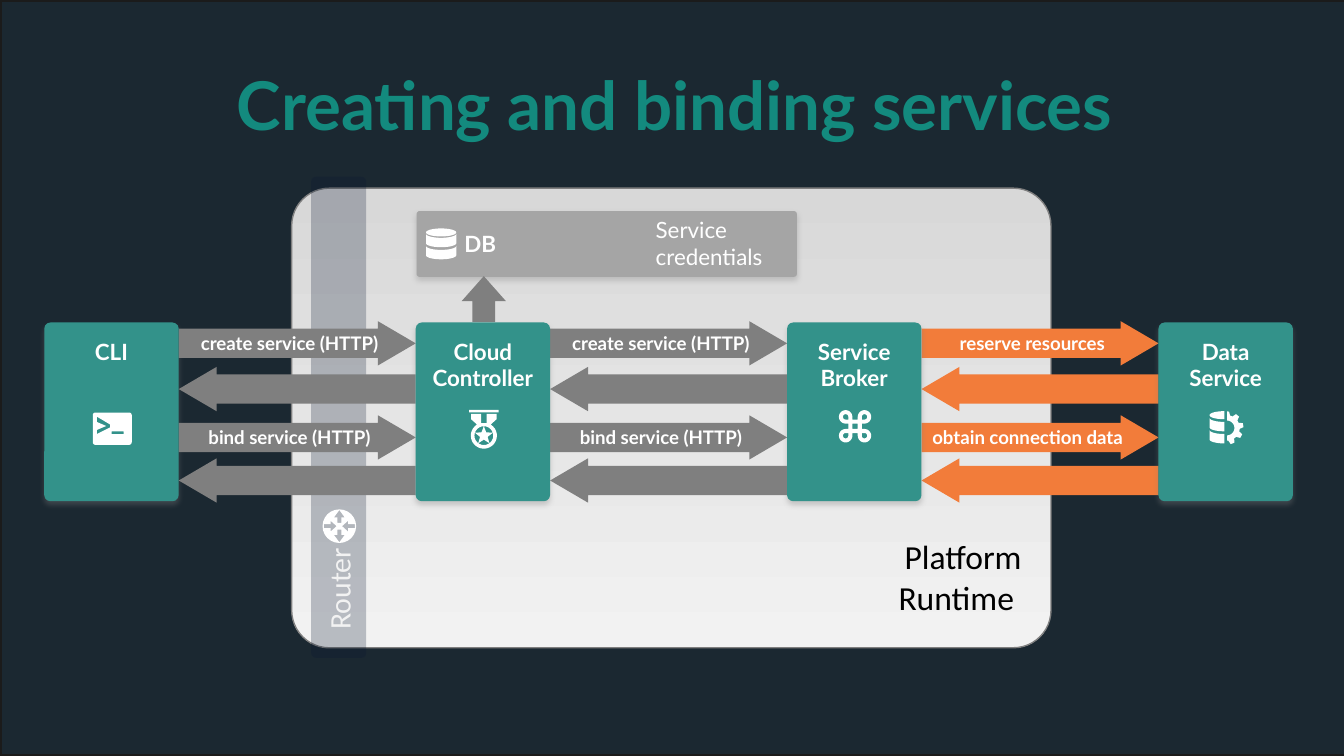
from dataclasses import dataclass
from math import cos, radians, sin

from lxml import etree
from pptx import Presentation
from pptx import util as u
from pptx.dml.color import RGBColor
from pptx.enum import shapes, text
from pptx.oxml.ns import qn

Contour = list[tuple[float, float]]
Box = tuple[float, float, float, float]
PRESET, ALIGN, ANCHOR = shapes.MSO_SHAPE, text.PP_ALIGN, text.MSO_ANCHOR
WIDTH, HEIGHT = 10, 10 * 9 / 16


@dataclass(frozen=True)
class Theme:
    night, edge, title, teal, orange = "1B2831", "1B1B1B", "138A7E", "33928A", "F27C3A"
    gray, silver, navy, mist, pale = "7F7F7F", "A5A5A5", "0A1831", "D8D8D8", "F2F2F2"
    shadow, white, black = "808080", "FFFFFF", "000000"
    font, plain_font = "Lato", "Calibri"
    title_size, runtime_size, router_size, label_size, flow_size = 36, 18, 16, 12, 10


@dataclass(frozen=True)
class Grid:
    """Columns hold components; rows hold the arrows between them."""
    left: float = 0.33
    column: float = 8.29 / 3
    rows: tuple = (2.39, 2.73, 3.09, 3.41)

    def box(self, column: int) -> Box:
        return self.left + column * self.column, 2.4, 1, 1.33

    def arrow(self, column: int, row: int) -> Box:
        return self.left + column * self.column + 1, self.rows[row], self.column - 1, 0.33


@dataclass(frozen=True)
class Flow:
    column: int
    row: int
    label: str
    color: str
    inset: float = 0.07


THEME, GRID = Theme(), Grid()
COMPONENTS = ["CLI", "Cloud Controller", "Service\nBroker", "Data\nService"]
FLOWS = [Flow(column, row, label, THEME.gray) for column in (0, 1)
         for row, label in ((0, "create service (HTTP)"), (2, "bind service (HTTP)"))]
FLOWS += [Flow(2, 0, "reserve resources", THEME.orange),
          Flow(2, 2, "obtain connection data", THEME.orange, 0)]


def write(shape, words: str, *, size: int, color: str = THEME.white, font: str = THEME.font,
          bold: bool = False, align=ALIGN.LEFT, anchor=ANCHOR.TOP,
          insets: Box = (0.1, 0.05, 0.1, 0.05)) -> None:
    frame = shape.text_frame
    frame.word_wrap, frame.vertical_anchor = True, anchor
    frame.margin_left, frame.margin_top, frame.margin_right, frame.margin_bottom = map(u.Inches, insets)
    frame.text = words
    for paragraph in frame.paragraphs:
        paragraph.alignment = align
        style = paragraph.runs[0].font
        style.name, style.size, style.bold = font, u.Pt(size), bold
        style.color.rgb = RGBColor.from_string(color)


def add_text(slide, box: Box, words: str, **style) -> None:
    write(slide.shapes.add_textbox(*map(u.Inches, box)), words, **style)


def paint(shape, color: str, line: str = "", line_width: float = 0) -> None:
    shape.shadow.inherit = False
    shape.fill.solid()
    shape.fill.fore_color.rgb = RGBColor.from_string(color)
    shape.line.fill.background()
    if line:
        shape.line.color.rgb = RGBColor.from_string(line)
        shape.line.width = u.Pt(line_width)


def add_preset(slide, preset, box: Box, color: str, adjust: tuple = (), rotation: float = 0, **line):
    shape = slide.shapes.add_shape(preset, *map(u.Inches, box))
    paint(shape, color, **line)
    for index, value in enumerate(adjust):
        shape.adjustments[index] = value
    shape.rotation = rotation
    return shape


def add_alpha(parent, color: str, percent: int) -> None:
    node = etree.SubElement(parent, qn("a:srgbClr"), val=color)
    etree.SubElement(node, qn("a:alpha"), val=str(percent * 1000))


def add_card(slide, box: Box, color: str):
    card = add_preset(slide, PRESET.ROUNDED_RECTANGLE, box, color, (0.046,))
    shadow = etree.SubElement(card._element.spPr.find(qn("a:effectLst")), qn("a:outerShdw"),
                              blurRad=str(u.Pt(3.1)), dist=str(u.Pt(1.8)), dir="5400000")
    add_alpha(shadow, THEME.shadow, 35)
    return card


def add_arrow(slide, box: Box, color: str, rotation: float = 0, adjust: tuple = (0.66, 0.854)):
    return add_preset(slide, PRESET.RIGHT_ARROW, box, color, adjust, rotation)


def arc(x: float, y: float, rx: float, ry: float, start: float, end: float, steps: int = 24) -> Contour:
    angles = [radians(start + (end - start) * i / steps) for i in range(steps + 1)]
    return [(x + rx * cos(a), y + ry * sin(a)) for a in angles]


def turn(points: Contour, angle: float, x: float, y: float) -> Contour:
    """Rotate points about zero, then move them to x, y."""
    c, s = cos(radians(angle)), sin(radians(angle))
    return [(x + px * c - py * s, y + px * s + py * c) for px, py in points]


def add_icon(slide, left: float, top: float, contours: list[Contour]) -> None:
    """Draw contours given in hundredths of an inch; inner ones are holes."""
    placed = [[(u.Inches(left + x / 100), u.Inches(top + y / 100)) for x, y in c] for c in contours]
    builder = slide.shapes.build_freeform(*placed[0][0], scale=1.0)
    for start, *rest in placed:
        builder.move_to(*start)
        builder.add_line_segments(rest, close=True)
    paint(builder.convert_to_shape(), THEME.white)


def router_icon() -> list[Contour]:
    outward, inward = ([(tail, -1.5), (6.5, -1.5), (6.5, -4), (tip, 0), (6.5, 4), (6.5, 1.5), (tail, 1.5)]
                       for tip, tail in ((12, 2.5), (2, 11.5)))
    return [arc(12.5, 12.5, 12.5, 12.5, 0, 360)] + [
        turn(outward if a % 180 else inward, a, 12.5, 12.5) for a in range(0, 360, 90)]


def cylinder(radius: float, end: float, rows: tuple) -> list[Contour]:
    """Two bands of a drum, drawn from its left side to the end angle."""
    return [arc(radius, y, radius, 3, 180, end) + arc(radius, y + 7, radius, 3, end, 180) for y in rows]


def data_gear_icon() -> list[Contour]:
    gear = [arc(13, 12.5, r, r, max(-90, tooth + offset), 0)[0] for tooth in range(-90, 90, 40)
            for offset, r in ((-14, 9.5), (-7, 12.3), (7, 12.3), (14, 9.5))]
    gear += [(13, 22), *arc(13, 12.5, 5.5, 5.5, 90, -90)]
    return [[(11, 6), *arc(11, 3, 11, 3, 90, 270)], gear, *cylinder(11, 90, (5, 14))]


def terminal_icon() -> list[Contour]:
    corners = ((27, 22, 0), (2, 22, 90), (2, 2, 180), (27, 2, 270))
    return [[point for x, y, a in corners for point in arc(x, y, 2, 2, a, a + 90, 6)],
            [(3, 3), (3, 7), (10, 10), (3, 13), (3, 16), (13, 11), (13, 9)],
            [(14, 14), (23, 14), (23, 16), (14, 16)]]


def medal_icon() -> list[Contour]:
    ribbon = [(13, 3), (20.5, 3), (20.5, 7), (16, 11), *arc(11, 19.2, 9.7, 9.7, -58, 238),
              (6, 11), (1.5, 7), (1.5, 3), (9, 3), (9, 10), (13, 10)]
    star = [arc(11, 19.2, r, r, a, 0)[0] for k in range(5) for r, a in ((7, 72 * k - 90), (3, 72 * k - 54))]
    return [[(0, 0), (22, 0), (22, 2), (0, 2)], ribbon, arc(11, 19.2, 7, 7, 0, 360), star]


def command_icon() -> list[Contour]:
    parts = ([(2, -5), *arc(7, -7, 5, 5, 180, 450), (5, -2)], [*arc(7, -7, 2, 2, 180, 450), (5, -5)], [(2, -2)])
    border, holes, square = ([turn(part, a, 12.25, 12.25) for a in range(0, 360, 90)] for part in parts)
    return [sum(border, []), *holes, sum(square, [])]


def draw_platform(slide) -> None:
    panel = add_preset(slide, PRESET.ROUNDED_RECTANGLE, (2.17, 1.4, 5.65, 3.42), THEME.mist, (0.082,),
                       line=THEME.gray, line_width=0.75)
    panel.fill.gradient()
    panel.fill.gradient_angle = 270
    for stop, color in zip(panel.fill.gradient_stops, (THEME.mist, THEME.pale)):
        stop.color.rgb = RGBColor.from_string(color)
    router = add_preset(slide, PRESET.ROUNDED_RECTANGLE, (0.73, 2.9, 3.58, 0.41), THEME.navy, (0.087,), 270)
    solid = router._element.spPr.find(qn("a:solidFill"))
    solid.remove(solid[0])
    add_alpha(solid, THEME.navy, 25)
    write(router, "Router", size=THEME.router_size, color=THEME.pale, font=THEME.plain_font,
          anchor=ANCHOR.MIDDLE, insets=(0.2, 0, 0, 0))
    add_text(slide, (5.84, 3.94, 1.86, 0.71), "Platform\nRuntime ", size=THEME.runtime_size,
             color=THEME.black, font=THEME.plain_font, align=ALIGN.RIGHT)
    add_icon(slide, 2.4, 3.79, router_icon())
    database = add_card(slide, (3.1, 1.57, 2.83, 0.49), THEME.silver)
    write(database, "DB", size=THEME.label_size, bold=True, anchor=ANCHOR.MIDDLE, insets=(0.35, 0, 0, 0))
    add_icon(slide, 3.17, 1.7, [arc(11.25, 3, 11.25, 3, 0, 360), *cylinder(11.25, 0, (4, 13))])
    add_text(slide, (4.78, 1.56, 1.01, 0.5), "Service\ncredentials", size=THEME.label_size)


def main() -> None:
    presentation = Presentation()
    presentation.slide_width, presentation.slide_height = u.Inches(WIDTH), u.Inches(HEIGHT)
    slide = presentation.slides.add_slide(presentation.slide_layouts[6])
    add_preset(slide, PRESET.RECTANGLE, (0, 0, 10.07, HEIGHT), THEME.night, line=THEME.edge, line_width=2)
    add_text(slide, (1.22, 0.45, 7.6, 0.64), "Creating and binding services", size=THEME.title_size,
             color=THEME.title, bold=True, align=ALIGN.CENTER, anchor=ANCHOR.MIDDLE)
    draw_platform(slide)
    for flow in FLOWS:
        add_arrow(slide, GRID.arrow(flow.column, flow.row + 1), flow.color, 180)
        write(add_arrow(slide, GRID.arrow(flow.column, flow.row), flow.color), flow.label, bold=True,
              size=THEME.flow_size, align=ALIGN.CENTER, anchor=ANCHOR.MIDDLE, insets=(flow.inset, 0, 0, 0))
    for column, name in enumerate(COMPONENTS):
        write(add_card(slide, GRID.box(column), THEME.teal), name, size=THEME.label_size,
              bold=True, align=ALIGN.CENTER, insets=(0, 0.1, 0, 0))
    for left, top, icon in ((3.49, 3.05, medal_icon), (6.24, 3.05, command_icon),
                            (0.69, 3.07, terminal_icon), (9, 3.06, data_gear_icon)):
        add_icon(slide, left, top, icon())
    add_arrow(slide, (3.43, 2.06, 0.34, 0.33), THEME.gray, 270, (0.51, 0.564))
    presentation.save("out.pptx")


if __name__ == "__main__":
    main()
